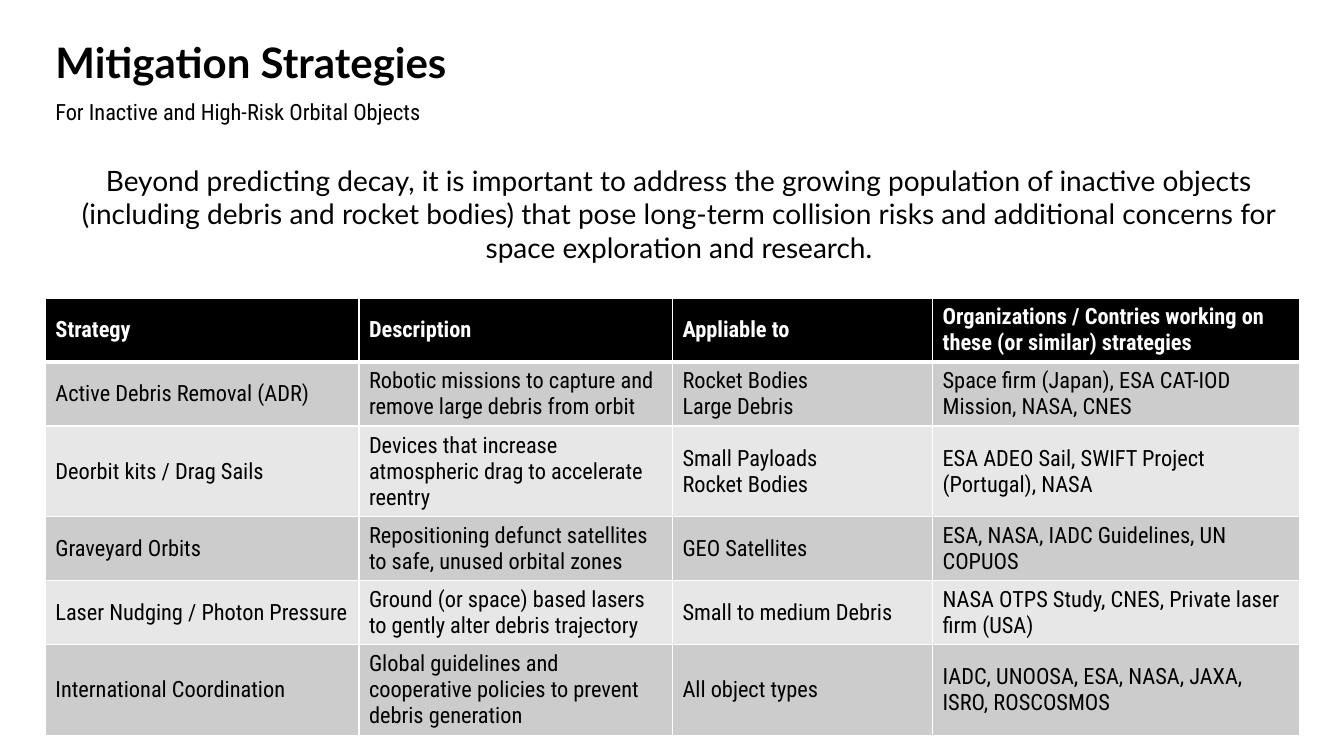
from lxml import etree
from pptx import Presentation
from pptx.dml.color import RGBColor
from pptx.enum.text import MSO_ANCHOR, MSO_AUTO_SIZE, PP_ALIGN
from pptx.oxml.ns import qn
from pptx.util import Inches, Pt

LEFT = PP_ALIGN.LEFT
CENTER = PP_ALIGN.CENTER
TOP = MSO_ANCHOR.TOP
MIDDLE = MSO_ANCHOR.MIDDLE
GROW = MSO_AUTO_SIZE.SHAPE_TO_FIT_TEXT

HEADING_FONT = "Lato"
BODY_FONT = "Roboto Condensed"
BLACK = "000000"
WHITE = "FFFFFF"
BAND_FILLS = ("CCCCCC", "E7E7E7")

COLUMN_WIDTHS = (3.11, 3.11, 2.58, 3.64)
STRATEGIES = (
    ("Strategy", "Description", "Appliable to",
     "Organizations / Contries working on these (or similar) strategies"),
    ("Active Debris Removal (ADR)",
     "Robotic missions to capture and remove large debris from orbit",
     "Rocket Bodies\nLarge Debris",
     "Space firm (Japan), ESA CAT-IOD Mission, NASA, CNES"),
    ("Deorbit kits / Drag Sails",
     "Devices that increase atmospheric drag to accelerate reentry",
     "Small Payloads\nRocket Bodies",
     "ESA ADEO Sail, SWIFT Project (Portugal), NASA"),
    ("Graveyard Orbits",
     "Repositioning defunct satellites to safe, unused orbital zones",
     "GEO Satellites",
     "ESA, NASA, IADC Guidelines, UN COPUOS"),
    ("Laser Nudging / Photon Pressure",
     "Ground (or space) based lasers to gently alter debris trajectory",
     "Small to medium Debris",
     "NASA OTPS Study, CNES, Private laser firm (USA)"),
    ("International Coordination",
     "Global guidelines and cooperative policies to prevent debris generation",
     "All object types",
     "IADC, UNOOSA, ESA, NASA, JAXA, ISRO, ROSCOSMOS"),
)


def color(value):
    return RGBColor.from_string(value)


def format_text(text_frame, text, font, size, value=BLACK, bold=False, alignment=LEFT):
    text_frame.text = text
    for paragraph in text_frame.paragraphs:
        paragraph.alignment = alignment
        paragraph.font.name = font
        paragraph.font.size = Pt(size)
        paragraph.font.bold = bold
        paragraph.font.color.rgb = color(value)


def place_text(shape, left, top, width, height, text, font, size, **style):
    shape.left, shape.top = Inches(left), Inches(top)
    shape.width, shape.height = Inches(width), Inches(height)
    text_frame = shape.text_frame
    text_frame.word_wrap = True
    text_frame.auto_size = GROW
    text_frame.vertical_anchor = TOP
    format_text(text_frame, text, font, size, **style)


def add_text(slide, left, top, width, height, *content, **style):
    shape = slide.shapes.add_textbox(0, 0, 0, 0)
    place_text(shape, left, top, width, height, *content, **style)


def add_heading(slide, left, top, width):
    place_text(slide.shapes.title, left, top, width, 0.61,
               "Mitigation Strategies", HEADING_FONT, 30, bold=True)
    add_text(slide, left, top + 0.61, width, 0.37,
             "For Inactive and High-Risk Orbital Objects", BODY_FONT, 16)


def add_introduction(slide, left, top, width):
    add_text(slide, left, top, width, 1.11,
             "Beyond predicting decay, it is important to address the growing "
             "population of inactive objects (including debris and rocket bodies) "
             "that pose long-term collision risks and additional concerns for "
             "space exploration and research.",
             HEADING_FONT, 20, alignment=CENTER)


def set_borders(cell, bottom_width):
    properties = cell._tc.get_or_add_tcPr()
    sides = (("a:lnL", 1), ("a:lnR", 1), ("a:lnT", 1), ("a:lnB", bottom_width))
    for position, (side, width) in enumerate(sides):
        line = etree.Element(qn(side), w=str(Pt(width)))
        fill = etree.SubElement(line, qn("a:solidFill"))
        etree.SubElement(fill, qn("a:srgbClr"), val=WHITE)
        properties.insert(position, line)


def add_strategy_table(slide, left, top, row_height):
    frame = slide.shapes.add_table(
        len(STRATEGIES), len(COLUMN_WIDTHS), Inches(left), Inches(top),
        Inches(sum(COLUMN_WIDTHS)), Inches(row_height * len(STRATEGIES)))
    table = frame.table
    for column, width in zip(table.columns, COLUMN_WIDTHS):
        column.width = Inches(width)
    for row_index, texts in enumerate(STRATEGIES):
        header = row_index == 0
        fill = BLACK if header else BAND_FILLS[(row_index - 1) % 2]
        for column_index, text in enumerate(texts):
            cell = table.cell(row_index, column_index)
            cell.vertical_anchor = MIDDLE
            cell.fill.solid()
            cell.fill.fore_color.rgb = color(fill)
            if header:
                set_borders(cell, 3)
            elif row_index > 1:
                set_borders(cell, 1)
            format_text(cell.text_frame, text, BODY_FONT, 16,
                        value=WHITE if header else BLACK, bold=header)


def main():
    presentation = Presentation()
    presentation.slide_width = Inches(13.33)
    presentation.slide_height = Inches(7.5)
    slide = presentation.slides.add_slide(presentation.slide_layouts[5])
    slide.background.fill.solid()
    slide.background.fill.fore_color.rgb = color(WHITE)
    add_heading(slide, 0.45, 0.31, 6.67)
    add_introduction(slide, 0.58, 1.57, 12.31)
    add_strategy_table(slide, 0.45, 2.96, 0.41)
    presentation.save("out.pptx")


if __name__ == "__main__":
    main()
